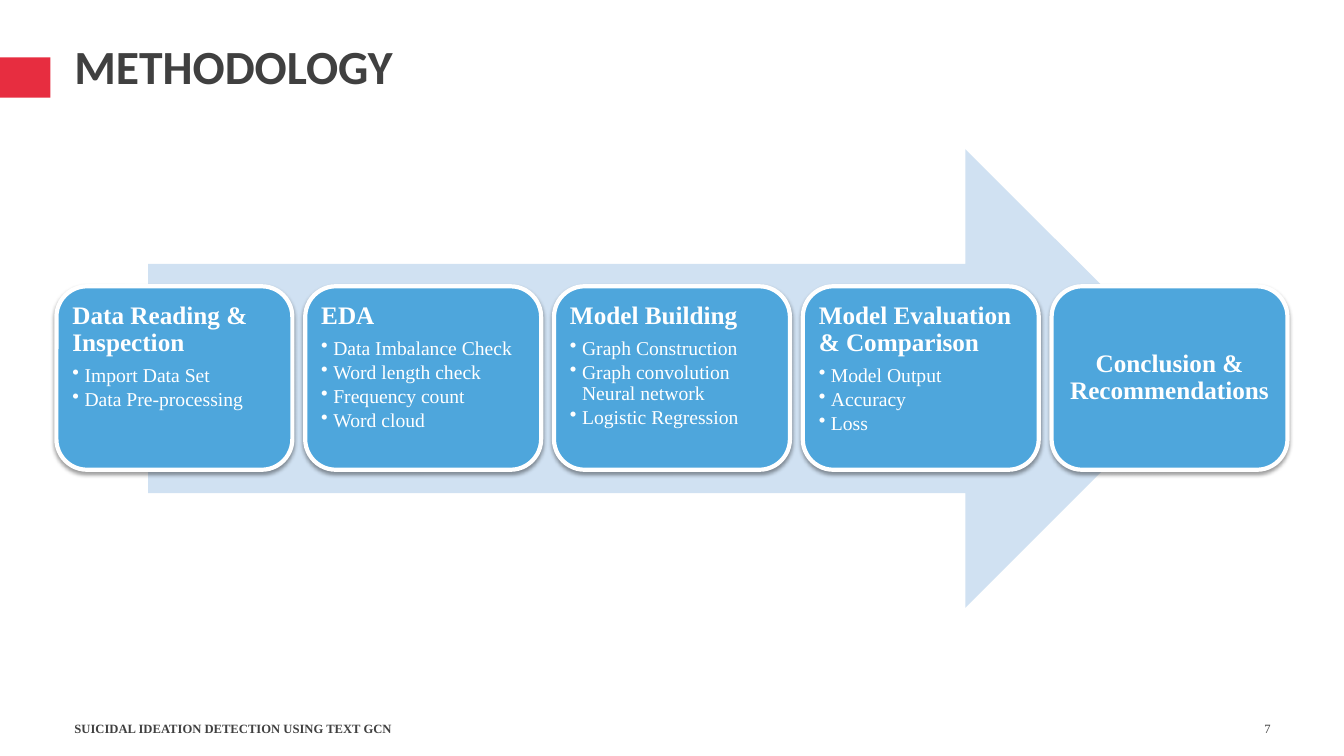
import pptx
import pptx.util
import pptx.dml.color
import pptx.enum.shapes
import pptx.enum.text
import pptx.oxml
import pptx.oxml.ns

Inches, Pt = pptx.util.Inches, pptx.util.Pt
SHAPE = pptx.enum.shapes.MSO_SHAPE
ALIGN = pptx.enum.text.PP_ALIGN
ANCHOR = pptx.enum.text.MSO_ANCHOR

TITLE = "METHODOLOGY"
FOOTER = "SUICIDAL IDEATION DETECTION USING TEXT GCN"
PAGE = "7"
STEPS = [
    ("Data Reading & Inspection", ["Import Data Set", "Data Pre-processing"]),
    ("EDA", ["Data Imbalance Check", "Word length check", "Frequency count", "Word cloud"]),
    ("Model Building", ["Graph Construction", "Graph convolution Neural network", "Logistic Regression"]),
    ("Model Evaluation & Comparison", ["Model Output", "Accuracy", "Loss"]),
    ("Conclusion & Recommendations", []),
]

THEME = {
    "accent": "E72D40", "arrow": "D0E1F2", "card": "4EA6DC", "white": "FFFFFF", "ink": "404040",
    "title": {"name": "Calibri", "size": Pt(34), "bold": True},
    "footer": {"name": "Times New Roman", "size": Pt(9), "bold": True},
    "page": {"name": "Times New Roman", "size": Pt(9), "bold": False},
    "heading": {"name": "Times New Roman", "size": Pt(18), "bold": True},
    "item": {"name": "Times New Roman", "size": Pt(14), "bold": False},
}
HEADING_SPACING = {"line_spacing": 0.9, "space_after": Pt(6.3)}
ITEM_SPACING = {"line_spacing": 0.9, "space_after": Pt(2.1), "level": 1}
CARD_LEFT, CARD_TOP, CARD_W, CARD_H = 0.56, 2.84, 2.34, 1.82
CARD_PITCH = 2.4675
CARD_INSET = 0.07
SHADOW = (
    f'<a:effectLst {pptx.oxml.ns.nsdecls("a")}>'
    '<a:outerShdw blurRad="39370" dist="20320" dir="5400000" rotWithShape="0">'
    '<a:srgbClr val="000000"><a:alpha val="38000"/></a:srgbClr>'
    '</a:outerShdw></a:effectLst>'
)


def set_all(obj, values):
    for name, value in values.items():
        setattr(obj, name, value)


def color(name):
    return pptx.dml.color.RGBColor.from_string(THEME[name])


def write(p, text, style, ink, fmt):
    set_all(p, fmt)
    r = p.add_run()
    r.text = text
    set_all(r.font, THEME[style])
    r.font.color.rgb = color(ink)


def add_label(slide, text, box, style, align):
    tf = slide.shapes.add_textbox(*map(Inches, box)).text_frame
    set_all(tf, {"word_wrap": True, "vertical_anchor": ANCHOR.MIDDLE})
    write(tf.paragraphs[0], text, style, "ink", {"alignment": align})


def add_block(slide, kind, box, fill):
    sp = slide.shapes.add_shape(kind, *map(Inches, box))
    sp.shadow.inherit = False
    sp.fill.solid()
    sp.fill.fore_color.rgb = color(fill)
    sp.line.fill.background()
    return sp


def add_bullet(p):
    pPr = p._p.get_or_add_pPr()
    pPr.set("marL", str(Inches(0.12)))
    pPr.set("indent", str(Inches(-0.12)))
    pPr.append(pptx.oxml.parse_xml(f'<a:buChar {pptx.oxml.ns.nsdecls("a")} char="•"/>'))


def add_card(slide, left, heading, items):
    sp = add_block(slide, SHAPE.ROUNDED_RECTANGLE, (left, CARD_TOP, CARD_W, CARD_H), "card")
    sp.line.color.rgb = color("white")
    sp.line.width = Pt(3)
    spPr = sp._element.spPr
    spPr.replace(spPr.find(pptx.oxml.ns.qn("a:effectLst")), pptx.oxml.parse_xml(SHADOW))
    tf = sp.text_frame
    set_all(tf, {"word_wrap": True, "vertical_anchor": ANCHOR.TOP if items else ANCHOR.MIDDLE})
    set_all(tf, {f"margin_{side}": Inches(CARD_INSET) for side in ("left", "top", "right", "bottom")})
    align = ALIGN.LEFT if items else ALIGN.CENTER
    write(tf.paragraphs[0], heading, "heading", "white", {"alignment": align, **HEADING_SPACING})
    for item in items:
        p = tf.add_paragraph()
        write(p, item, "item", "white", {"alignment": align, **ITEM_SPACING})
        add_bullet(p)


def main():
    prs = pptx.Presentation()
    set_all(prs, {"slide_width": Inches(13.33), "slide_height": Inches(7.5)})
    s = prs.slides.add_slide(prs.slide_layouts[6])
    add_block(s, SHAPE.RECTANGLE, (0, 0.57, 0.5, 0.4), "accent")
    add_label(s, FOOTER, (0.64, 7.03, 7.56, 0.4), "footer", ALIGN.LEFT)
    add_label(s, PAGE, (11.55, 7.03, 1.15, 0.4), "page", ALIGN.RIGHT)
    add_label(s, TITLE, (0.64, 0.24, 12.06, 0.81), "title", ALIGN.LEFT)
    add_block(s, SHAPE.RIGHT_ARROW, (1.47, 1.48, 10.38, 4.55), "arrow")
    for i, (heading, items) in enumerate(STEPS):
        add_card(s, CARD_LEFT + i * CARD_PITCH, heading, items)
    prs.save("out.pptx")


if __name__ == "__main__":
    main()
